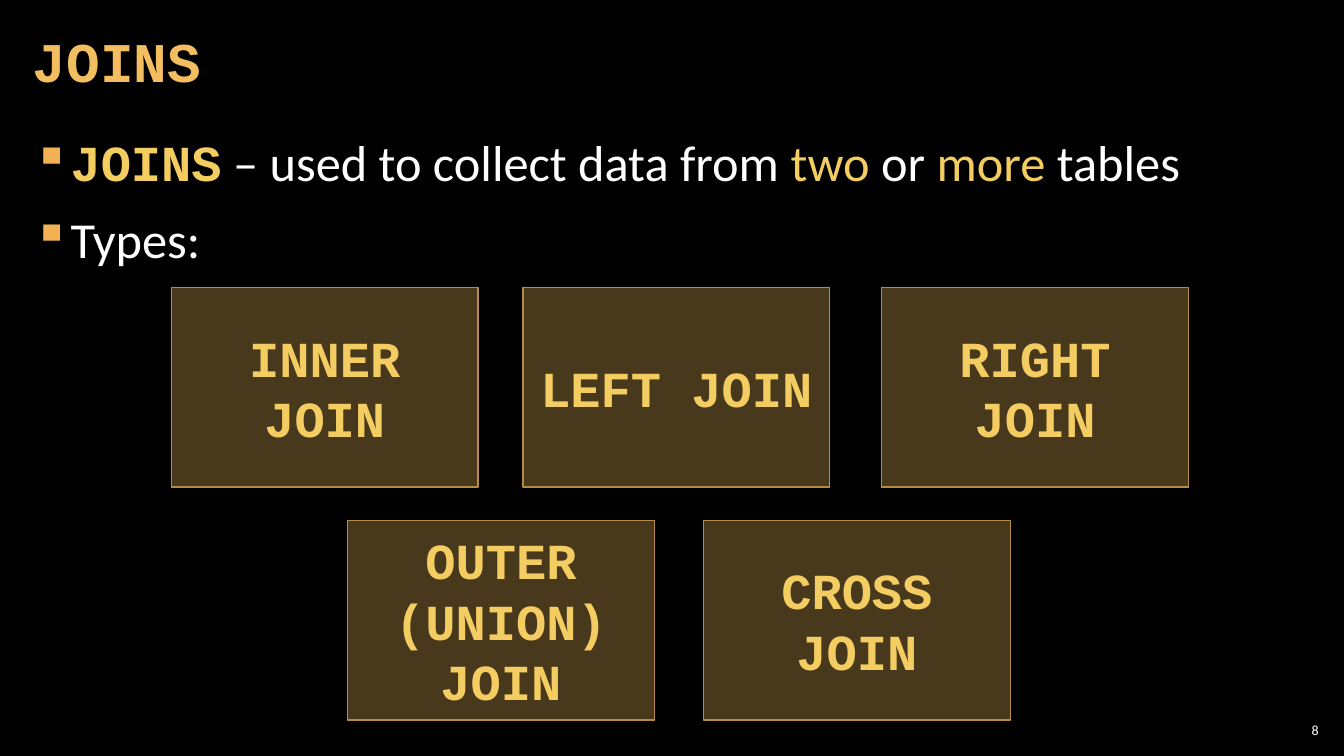
from lxml.etree import SubElement
from pptx import Presentation
from pptx.dml.color import RGBColor
from pptx.enum.shapes import MSO_SHAPE
from pptx.enum.text import MSO_ANCHOR, PP_ALIGN
from pptx.oxml.ns import qn
from pptx.util import Cm, Pt

COLORS = {"back": "000000", "title": "F3BE60", "gold": "F3CD60", "label": "F3CD61",
          "text": "FFFFFF", "bullet": "F2B254", "edge": "B48D47"}
CODE = {"name": "Courier New", "bold": True}
BODY = {"name": "Calibri", "bold": False}


def color(key):
    return RGBColor.from_string(COLORS[key])


def apply(target, values):
    for name, value in values.items():
        setattr(target, name, value)


class Deck:
    def __init__(self):
        self.prs = Presentation()
        apply(self.prs, {"slide_width": Cm(33.87), "slide_height": Cm(19.05)})
        self.slide = self.prs.slides.add_slide(self.prs.slide_layouts[6])
        fill = self.slide.background.fill
        fill.solid()
        fill.fore_color.rgb = color("back")

    def run(self, para, text, size, key, font):
        run = para.add_run()
        run.text = text
        apply(run.font, {"size": Pt(size), **font})
        run.font.color.rgb = color(key)

    def text(self, box, side=0.3, anchor=MSO_ANCHOR.MIDDLE):
        """Add a text box with the given side margin and return its frame."""
        frame = self.slide.shapes.add_textbox(*map(Cm, box)).text_frame
        apply(frame, {"word_wrap": True, "vertical_anchor": anchor,
                      "margin_left": Cm(side), "margin_right": Cm(side),
                      "margin_top": Cm(0.1), "margin_bottom": Cm(0.1)})
        return frame

    def line(self, box, text, size, key, font, side=0.3, **form):
        para = self.text(box, side).paragraphs[0]
        apply(para, form)
        self.run(para, text, size, key, font)

    def bullets(self, box, items, size):
        frame = self.text(box, anchor=MSO_ANCHOR.TOP)
        for i, parts in enumerate(items):
            para = frame.add_paragraph() if i else frame.paragraphs[0]
            apply(para, {"space_before": Pt(6 if i else 0), "space_after": Pt(6)})
            props = para._p.get_or_add_pPr()
            props.set("marL", str(Cm(0.84)))
            props.set("indent", str(-Cm(0.84)))
            tint = SubElement(props, qn("a:buClr"))
            SubElement(tint, qn("a:srgbClr"), val=COLORS["bullet"])
            SubElement(props, qn("a:buChar"), char="▪")
            for text, key, font in parts:
                self.run(para, text, size, key, font)

    def card(self, box, text):
        card = self.slide.shapes.add_shape(MSO_SHAPE.RECTANGLE, *map(Cm, box))
        card.shadow.inherit = False
        card.fill.solid()
        card.fill.fore_color.rgb = color("title")
        shade = card.fill._xPr.find(qn("a:solidFill"))[0]
        SubElement(shade, qn("a:alpha"), val="30000")
        card.line.color.rgb = color("edge")
        card.line.width = Pt(1)
        frame = card.text_frame
        apply(frame, {"word_wrap": True, "vertical_anchor": MSO_ANCHOR.MIDDLE})
        para = frame.paragraphs[0]
        para.alignment = PP_ALIGN.CENTER
        self.run(para, text, 36, "label", CODE)


def main():
    deck = Deck()

    # Title
    deck.line((0.53, 0.1, 26.6, 3.07), "JOINS", 40, "title", CODE, line_spacing=0.9)

    # Definition
    deck.bullets((0.53, 3.2, 32.8, 15.47), [
        [("JOINS", "gold", CODE),
         (" – used to collect data from ", "text", BODY),
         ("two", "gold", BODY), (" or ", "text", BODY),
         ("more", "gold", BODY), (" tables", "text", BODY)],
        [("Types:", "text", BODY)],
    ], 36)

    # Join types, row by row
    rows = [
        (7.24, [(4.32, "INNER JOIN"), (13.18, "LEFT JOIN"), (22.22, "RIGHT JOIN")]),
        (13.11, [(8.76, "OUTER (UNION) JOIN"), (17.73, "CROSS JOIN")]),
    ]
    for top, cards in rows:
        for left, name in cards:
            deck.card((left, top, 7.73, 5.03), name)

    # Page number
    deck.line((32.13, 18.14, 1.2, 0.53), "8", 10, "text", BODY, side=0.1,
              alignment=PP_ALIGN.RIGHT)

    deck.prs.save("out.pptx")


if __name__ == "__main__":
    main()
